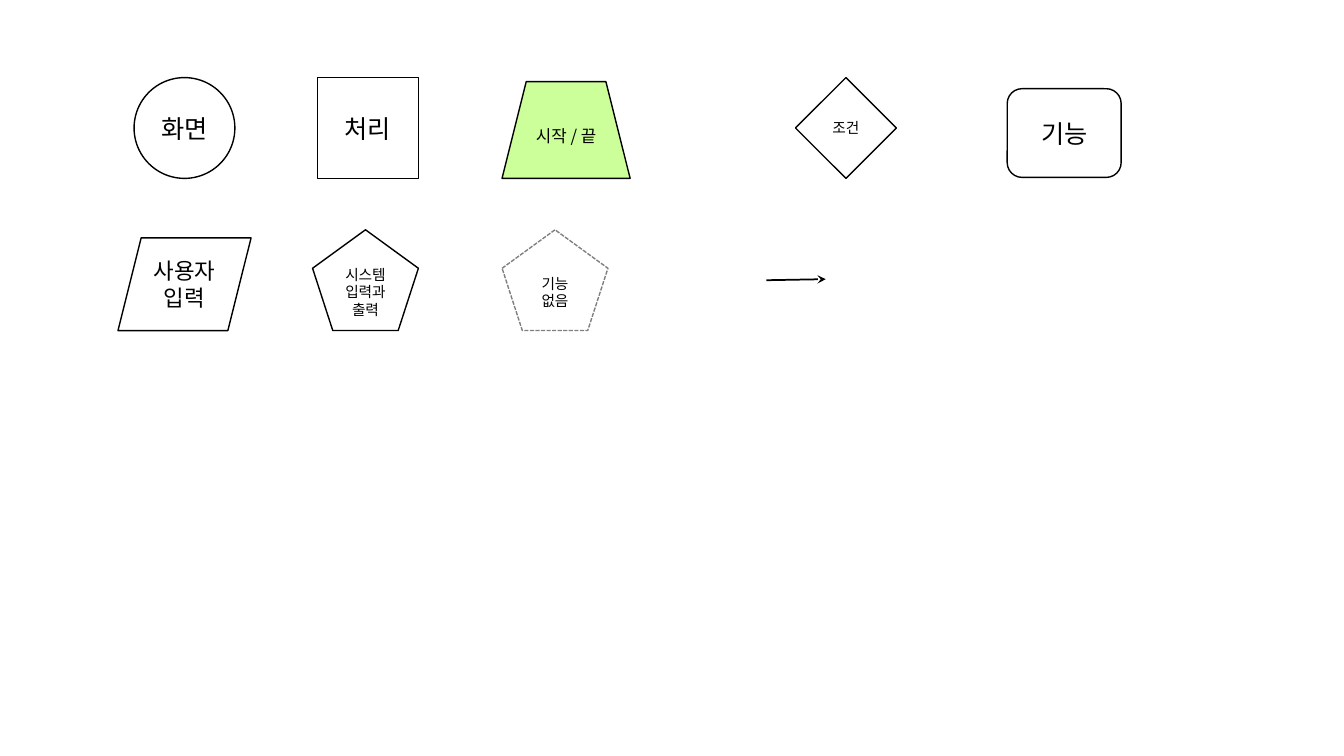
from lxml import etree
from pptx import Presentation
from pptx.dml.color import RGBColor
from pptx.enum.dml import MSO_LINE
from pptx.enum.shapes import MSO_CONNECTOR, MSO_SHAPE
from pptx.enum.text import MSO_ANCHOR, PP_ALIGN
from pptx.oxml.ns import qn
from pptx.util import Inches, Pt

FONT = "Noto Sans CJK KR"
COLORS = {"ink": "000000", "paper": "FFFFFF", "terminal": "CCFF99"}
BLANK_LAYOUT = 6
STRAIGHT = MSO_CONNECTOR.STRAIGHT
SYSTEM_DASH = MSO_LINE.SQUARE_DOT
MIDDLE, CENTER = MSO_ANCHOR.MIDDLE, PP_ALIGN.CENTER

CIRCLE, SQUARE = MSO_SHAPE.OVAL, MSO_SHAPE.RECTANGLE
ROUNDED, DIAMOND = MSO_SHAPE.ROUNDED_RECTANGLE, MSO_SHAPE.DIAMOND
PARALLELOGRAM, TRAPEZOID = MSO_SHAPE.PARALLELOGRAM, MSO_SHAPE.TRAPEZOID
PENTAGON = MSO_SHAPE.REGULAR_PENTAGON

TOP_ROW_BOX = (1.33, 0.77, 9.79, 1)
BOTTOM_ROW_BOX = (1.17, 2.28, 7.02, 1)


def color(name):
    """Return the named palette colour."""
    return RGBColor.from_string(COLORS[name])


def add_symbol(slide, kind, box, label, size, fill="paper"):
    """Draw one labelled flowchart symbol in its box and return it."""
    symbol = slide.shapes.add_shape(kind, *map(Inches, box))
    symbol.shadow.inherit = False
    symbol.fill.solid()
    symbol.fill.fore_color.rgb = color(fill)
    symbol.line.color.rgb = color("ink")
    symbol.line.width = Pt(1)
    frame = symbol.text_frame
    frame.word_wrap = True
    frame.vertical_anchor = MIDDLE
    paragraph = frame.paragraphs[0]
    paragraph.alignment = CENTER
    run = paragraph.add_run()
    run.text = label
    run.font.size = Pt(size)
    run.font.name = FONT
    run.font.color.rgb = color("ink")
    etree.SubElement(run.font._element, qn("a:ea"), typeface=FONT)
    return symbol


def fade_outline(symbol):
    """Make the symbol's outline dashed and half transparent."""
    symbol.line.dash_style = SYSTEM_DASH
    ink = symbol.line._ln.find(qn("a:solidFill")).find(qn("a:srgbClr"))
    etree.SubElement(ink, qn("a:alpha"), val="50000")


def add_flow_arrow(slide, start, end):
    """Draw the flow arrow between two points."""
    arrow = slide.shapes.add_connector(STRAIGHT, *map(Inches, start + end))
    arrow.line.color.rgb = color("ink")
    arrow.line.width = Pt(1.25)
    etree.SubElement(arrow.line._ln, qn("a:tailEnd"), type="stealth")
    etree.SubElement(arrow._element.spPr, qn("a:effectLst"))


def add_top_row(slide, box):
    """Place the screen, process, terminal, condition and function symbols."""
    left, top, width, height = box
    bottom, right = top + height, left + width
    add_symbol(slide, CIRCLE, (left, top, height, height), "화면", 18)
    add_symbol(slide, SQUARE, (left + 1.82, top, height, height), "처리", 18)
    add_symbol(slide, TRAPEZOID, (left + 3.65, bottom - 0.96, 1.27, 0.96),
               "시작 / 끝", 12, "terminal")
    add_symbol(slide, DIAMOND, (left + 6.56, top, height, height), "조건", 10.5)
    add_symbol(slide, ROUNDED, (right - 1.13, bottom - 0.89, 1.13, 0.88), "기능", 18)


def add_bottom_row(slide, box):
    """Place the input, system and missing-function symbols and the arrow."""
    left, top, width, height = box
    bottom, right = top + height, left + width
    add_symbol(slide, PARALLELOGRAM, (left, bottom - 0.92, 1.32, 0.92),
               "사용자 입력", 16)
    add_symbol(slide, PENTAGON, (left + 1.93, top, 1.05, height),
               "시스템 입력과 출력", 10.5)
    missing = add_symbol(slide, PENTAGON, (left + 3.81, top, 1.05, height),
                         "기능 없음", 10.5)
    fade_outline(missing)
    add_flow_arrow(slide, (right - 0.59, top + 0.5), (right, top + 0.49))


def main():
    """Build the flowchart legend slide."""
    deck = Presentation()
    deck.slide_width, deck.slide_height = Inches(13.33), Inches(7.5)
    slide = deck.slides.add_slide(deck.slide_layouts[BLANK_LAYOUT])
    add_top_row(slide, TOP_ROW_BOX)
    add_bottom_row(slide, BOTTOM_ROW_BOX)
    deck.save("out.pptx")


if __name__ == "__main__":
    main()
